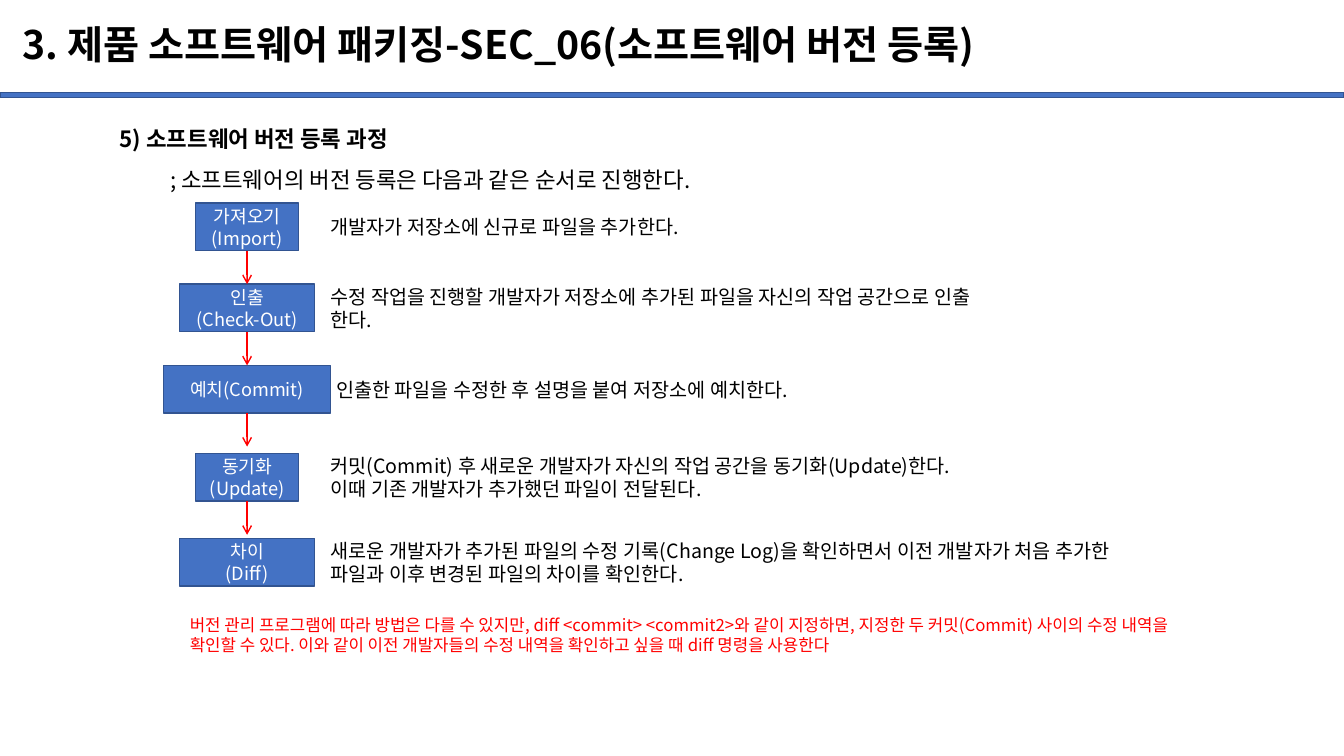
from lxml.etree import SubElement
from pptx import Presentation
from pptx.dml.color import RGBColor
from pptx.enum.shapes import MSO_CONNECTOR, MSO_SHAPE
from pptx.enum.text import MSO_ANCHOR, PP_ALIGN
from pptx.oxml.ns import qn
from pptx.util import Pt

FONT = "Noto Sans CJK KR"
BLUE = RGBColor(0x44, 0x72, 0xC4)
DARK_BLUE = RGBColor(0x32, 0x54, 0x91)
BLACK = RGBColor(0, 0, 0)
WHITE = RGBColor(0xFF, 0xFF, 0xFF)
RED = RGBColor(0xFF, 0, 0)

BOX_HEIGHT = 34
ARROW_LENGTH = 24

# top, box width, box label, description left, description
STEPS = [
    (145, 73.5, "가져오기\n(Import)", 229, "개발자가 저장소에 신규로 파일을 추가한다."),
    (203, 96.5, "인출\n(Check-Out)", 229,
     "수정 작업을 진행할 개발자가 저장소에 추가된 파일을 자신의 작업 공간으로 인출\n한다."),
    (261, 119, "예치(Commit)", 233, "인출한 파일을 수정한 후 설명을 붙여 저장소에 예치한다."),
    (324, 73.5, "동기화\n(Update)", 229,
     "커밋(Commit) 후 새로운 개발자가 자신의 작업 공간을 동기화(Update)한다.\n"
     "이때 기존 개발자가 추가했던 파일이 전달된다."),
    (384.5, 96.5, "차이\n(Diff)", 229,
     "새로운 개발자가 추가된 파일의 수정 기록(Change Log)을 확인하면서 이전 개발자가 "
     "처음 추가한 파일과 이후 변경된 파일의 차이를 확인한다."),
]


def write(shape, text, size, color, bold=False, align=PP_ALIGN.LEFT,
          anchor=MSO_ANCHOR.TOP, spacing=None):
    tf = shape.text_frame
    tf.word_wrap = True
    tf.vertical_anchor = anchor
    tf.text = text
    for p in tf.paragraphs:
        p.alignment = align
        p.line_spacing = spacing
        for r in p.runs:
            r.font.size = Pt(size)
            r.font.bold = bold
            r.font.name = FONT
            r.font.color.rgb = color
            SubElement(r.font._element, qn("a:ea"), typeface=FONT)
    return tf


def add_text(s, left, top, width, height, text, size, color, **style):
    box = s.shapes.add_textbox(Pt(left), Pt(top), Pt(width), Pt(height))
    return write(box, text, size, color, **style)


def add_box(s, left, top, width, height):
    sp = s.shapes.add_shape(MSO_SHAPE.RECTANGLE, Pt(left), Pt(top), Pt(width), Pt(height))
    sp.shadow.inherit = False
    sp.fill.solid()
    sp.fill.fore_color.rgb = BLUE
    sp.line.color.rgb = DARK_BLUE
    sp.line.width = Pt(1)
    return sp


def add_arrow(s, x, top, length, start, target=None):
    """Red arrow down from the start box, joined to the target box if given."""
    line = s.shapes.add_connector(MSO_CONNECTOR.STRAIGHT, Pt(x), Pt(top), Pt(x), Pt(top + length))
    line.begin_connect(start, 2)
    if target is not None:
        line.end_connect(target, 0)
    line.line.color.rgb = RED
    line.line.width = Pt(1)
    SubElement(line.line._get_or_add_ln(), qn("a:tailEnd"), type="arrow")
    SubElement(line._element.spPr, qn("a:effectLst"))


def add_header(s, left, top, width):
    add_box(s, left, top + 66.25, width, 3.5)
    add_text(s, left + 9.25, top + 7.25, 828, 53, "3. 제품 소프트웨어 패키징-SEC_06(소프트웨어 버전 등록)",
             28, BLACK, bold=True, anchor=MSO_ANCHOR.MIDDLE, spacing=0.9)


def add_intro(s, left, top, width, height):
    tf = add_text(s, left, top, width, height,
                  "5) 소프트웨어 버전 등록 과정\n; 소프트웨어의 버전 등록은 다음과 같은 순서로 진행한다.",
                  16, BLACK, bold=True, spacing=1.5)
    detail = tf.paragraphs[1]
    detail._p.get_or_add_pPr().set("marL", str(Pt(36)))
    detail.runs[0].font.bold = False


def add_steps(s, center):
    """Flow of boxes centred on a vertical axis, each with its description."""
    boxes = []
    for top, width, label, text_left, text in STEPS:
        box = add_box(s, center - width / 2, top, width, BOX_HEIGHT)
        write(box, label, 13, WHITE, align=PP_ALIGN.CENTER, anchor=MSO_ANCHOR.MIDDLE)
        add_text(s, text_left, top - 3.5, 591, BOX_HEIGHT + 7, text, 14, BLACK,
                 anchor=MSO_ANCHOR.MIDDLE)
        boxes.append(box)
    for i in range(len(STEPS) - 1):
        bottom = STEPS[i][0] + BOX_HEIGHT
        touches = STEPS[i + 1][0] - bottom <= ARROW_LENGTH
        add_arrow(s, center, bottom, ARROW_LENGTH, boxes[i], boxes[i + 1] if touches else None)


def add_note(s, left, top, width, height):
    add_text(s, left, top, width, height,
             "버전 관리 프로그램에 따라 방법은 다를 수 있지만, diff <commit> <commit2>와 같이 지정하면, "
             "지정한 두 커밋(Commit) 사이의 수정 내역을 확인할 수 있다. 이와 같이 이전 개발자들의 "
             "수정 내역을 확인하고 싶을 때 diff 명령을 사용한다", 12, RED)


def main():
    prs = Presentation()
    prs.slide_width, prs.slide_height = Pt(960), Pt(540)
    s = prs.slides.add_slide(prs.slide_layouts[6])
    add_header(s, 0, 0, 960)
    add_intro(s, 78.5, 76.5, 844, 94)
    add_steps(s, 176.5)
    add_note(s, 128.5, 435.5, 731.5, 36)
    prs.save("out.pptx")


if __name__ == "__main__":
    main()
